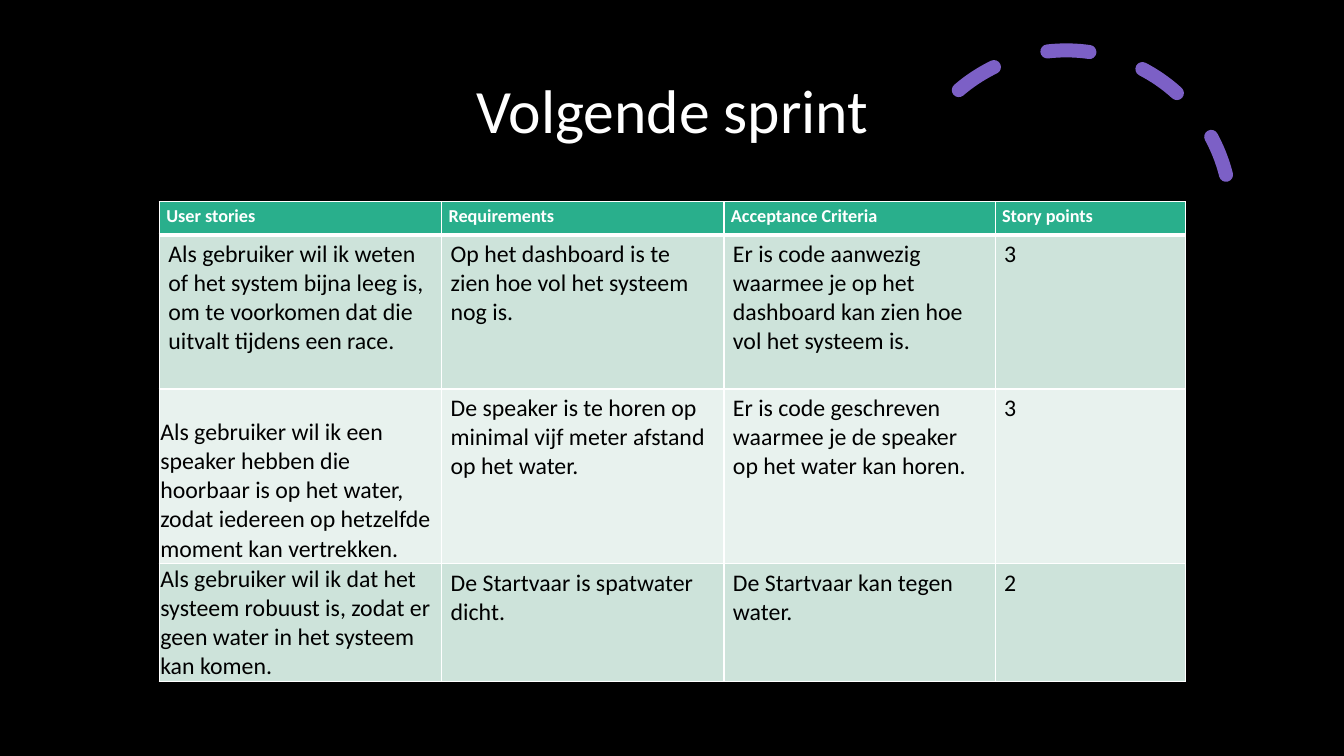
from lxml import etree
from pptx import Presentation
from pptx.dml.color import RGBColor
from pptx.enum.dml import MSO_LINE
from pptx.enum.shapes import MSO_SHAPE
from pptx.enum.text import MSO_ANCHOR, PP_ALIGN
from pptx.oxml.ns import qn
from pptx.util import Inches, Pt

ARC, DASH = MSO_SHAPE.ARC, MSO_LINE.DASH
TOP, MIDDLE, BOTTOM = MSO_ANCHOR.TOP, MSO_ANCHOR.MIDDLE, MSO_ANCHOR.BOTTOM
CENTER = PP_ALIGN.CENTER

# Content
TITLE = "Volgende sprint"
ROWS = [
    ("User stories", "Requirements", "Acceptance Criteria", "Story points"),
    ("Als gebruiker wil ik weten of het system bijna leeg is, om te voorkomen dat die uitvalt tijdens een race.",
     "Op het dashboard is te zien hoe vol het systeem nog is.",
     "Er is code aanwezig waarmee je op het dashboard kan zien hoe vol het systeem is.",
     "3"),
    ("Als gebruiker wil ik een speaker hebben die hoorbaar is op het water, zodat iedereen op hetzelfde moment kan vertrekken.",
     "De speaker is te horen op minimal vijf meter afstand op het water.",
     "Er is code geschreven waarmee je de speaker op het water kan horen.",
     "3"),
    ("Als gebruiker wil ik dat het systeem robuust is, zodat er geen water in het systeem kan komen.",
     "De Startvaar is spatwater dicht.",
     "De Startvaar kan tegen water.",
     "2"),
]

# Layout and formats
WIDTH, HEIGHT = 13.33, 7.5
COL_WIDTHS = [2.8, 2.8, 2.69, 1.89]
ROW_HEIGHTS = [0.33, 1.53, 1.73, 1.17]
BLACK, WHITE, PURPLE, GREEN = "000000", "FFFFFF", "7C60C6", "29AF8C"
BANDS = ["E8F2EE", "CDE3DA"]
HEAD_FONT = dict(name="Calibri", size=Pt(13), bold=True)
BODY_FONT = dict(name="Calibri", size=Pt(17), bold=False)
TITLE_FONT = dict(name="Calibri", size=Pt(44), bold=False)
SIDES = ("left", "top", "right", "bottom")
HEAD_INSETS = (0.07, 0.04, 0.07, 0.04)
BODY_INSETS = (0.09, 0.05, 0.1, 0.05)
TIGHT_INSETS = (0.01, 0.01, 0.01, 0)


def rgb(color):
    return RGBColor.from_string(color)


def set_attrs(obj, values):
    for name, value in values.items():
        setattr(obj, name, value)


def write(p, text, font, color):
    r = p.add_run()
    r.text = text
    set_attrs(r.font, font)
    r.font.color.rgb = rgb(color)


def set_borders(cell, widths):
    tc_pr = cell._tc.get_or_add_tcPr()
    for i, (side, width) in enumerate(zip("LTRB", widths)):
        ln = etree.Element(qn(f"a:ln{side}"), w=str(Pt(width)))
        fill = etree.SubElement(ln, qn("a:solidFill"))
        etree.SubElement(fill, qn("a:srgbClr"), val=WHITE)
        tc_pr.insert(i, ln)


prs = Presentation()
prs.slide_width, prs.slide_height = Inches(WIDTH), Inches(HEIGHT)
s = prs.slides.add_slide(prs.slide_layouts[5])
s.background.fill.solid()
s.background.fill.fore_color.rgb = rgb(BLACK)

# Title
title = s.shapes.title
set_attrs(title, dict(left=Inches(0.92), top=Inches(0.4),
                      width=Inches(11.5), height=Inches(1.45)))
title.text_frame.vertical_anchor = MIDDLE
p = title.text_frame.paragraphs[0]
set_attrs(p, dict(alignment=CENTER, line_spacing=0.9))
write(p, TITLE, TITLE_FONT, WHITE)

# Dashed arc with round ends
arc = s.shapes.add_shape(ARC, Inches(8.94), Inches(0.5), Inches(3.27), Inches(3.27))
arc.shadow.inherit = False
arc.rotation = 345.8
arc.adjustments[0], arc.adjustments[1] = 146.13, 0
arc.fill.background()
arc.line.color.rgb = rgb(PURPLE)
set_attrs(arc.line, dict(width=Pt(10), dash_style=DASH))
arc.line._get_or_add_ln().set("cap", "rnd")

# Table
table = s.shapes.add_table(len(ROWS), len(COL_WIDTHS), Inches(1.58), Inches(2),
                           Inches(sum(COL_WIDTHS)), Inches(sum(ROW_HEIGHTS))).table
for column, width in zip(table.columns, COL_WIDTHS):
    column.width = Inches(width)
for row, height in zip(table.rows, ROW_HEIGHTS):
    row.height = Inches(height)

for i, texts in enumerate(ROWS):
    head = i == 0
    for j, text in enumerate(texts):
        cell = table.cell(i, j)
        tight = i > 1 and j == 0
        insets = HEAD_INSETS if head else TIGHT_INSETS if tight else BODY_INSETS
        set_attrs(cell, {f"margin_{side}": Inches(n) for side, n in zip(SIDES, insets)})
        cell.vertical_anchor = BOTTOM if tight else TOP
        cell.fill.solid()
        cell.fill.fore_color.rgb = rgb(GREEN if head else BANDS[i % 2])
        set_borders(cell, (1, 3 if i == 1 else 1, 1, 3 if head else 1))
        write(cell.text_frame.paragraphs[0], text,
              HEAD_FONT if head else BODY_FONT, WHITE if head else BLACK)

prs.save("out.pptx")
